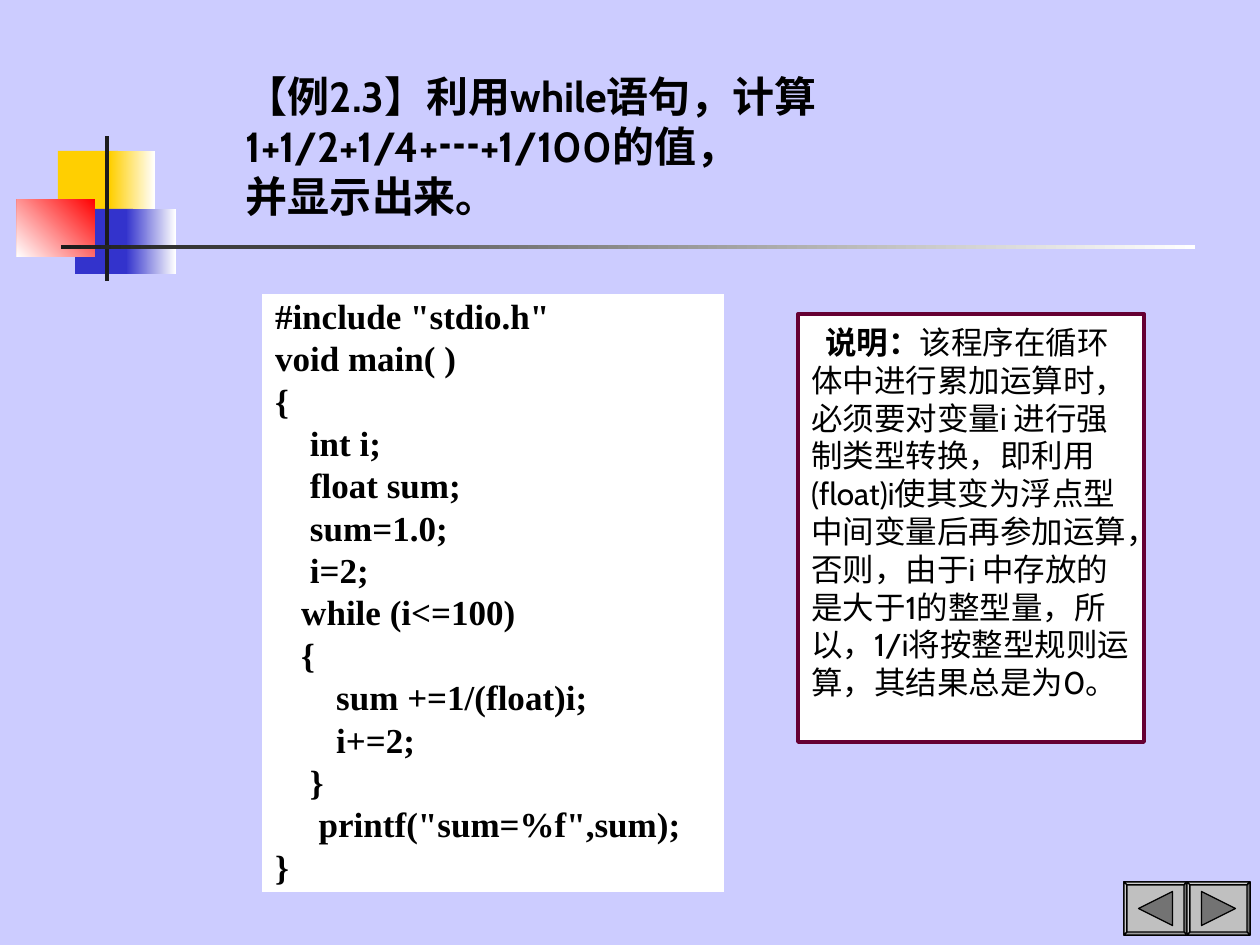
from itertools import groupby

from pptx import Presentation
from pptx.dml.color import RGBColor
from pptx.enum.shapes import MSO_SHAPE
from pptx.enum.text import MSO_ANCHOR, PP_ALIGN
from pptx.oxml.ns import qn
from pptx.util import Pt
from lxml.etree import SubElement

PX = 914400 / 126
HUES = {
    "back": "CCCCFF", "white": "FFFFFF", "black": "000000", "ink": "1C1C1C",
    "gold": "FFCF01", "blue": "3333CC", "red": "FF0000", "wine": "660033",
    "face": "C0C0C0", "light": "CCCCCC", "dim": "9A9A9A", "dark": "737373",
}
LATIN, HAN, SERIF = "Cabin", "Noto Sans CJK SC", "Times New Roman"

TITLE = "【例2.3】利用while语句，计算\n1+1/2+1/4+┅+1/100的值，\n并显示出来。"
CODE = """#include "stdio.h"
void main( )
{
    int i;
    float sum;
    sum=1.0;
    i=2;
   while (i<=100)
   {
       sum +=1/(float)i;
       i+=2;
    }
     printf("sum=%f",sum);
}"""
LABEL = "说明："
NOTE = ("该程序在循环体中进行累加运算时，必须要对变量i 进行强制类型转换，"
        "即利用(float)i使其变为浮点型中间变量后再参加运算，否则，由于i 中存放的是"
        "大于1的整型量，所以，1/i将按整型规则运算，其结果总是为0。")


def emu(px):
    return round(px * PX)


def hue(name):
    return RGBColor.from_string(HUES[name])


def paint(shape, fill, line=None, width=0.75):
    shape.shadow.inherit = False
    shape.fill.solid()
    shape.fill.fore_color.rgb = hue(fill)
    if line:
        shape.line.color.rgb = hue(line)
        shape.line.width = Pt(width)
    else:
        shape.line.fill.background()


def block(slide, box, fill, line=None, width=0.75):
    shape = slide.shapes.add_shape(MSO_SHAPE.RECTANGLE, *map(emu, box))
    paint(shape, fill, line, width)
    return shape


def fade(slide, box, start, end, angle):
    """Add a block whose colour runs from start to end."""
    fill = block(slide, box, start).fill
    fill.gradient()
    fill.gradient_angle = angle
    for stop, name, place in zip(fill.gradient_stops, (start, end), (0, 1)):
        stop.color.rgb = hue(name)
        stop.position = place


def frame(shape, top=6, bottom=6, anchor=MSO_ANCHOR.TOP):
    text = shape.text_frame
    text.word_wrap = True
    text.vertical_anchor = anchor
    text.margin_left = text.margin_right = emu(13)
    text.margin_top, text.margin_bottom = emu(top), emu(bottom)
    return text


def write(para, text, size=18, bold=False, latin=LATIN, pitch=None):
    """Add text, one run for each stretch of Latin or Chinese letters."""
    para.alignment = PP_ALIGN.LEFT
    if pitch:
        para.line_spacing = Pt(pitch)
    for row, line in enumerate(text.split("\n")):
        if row:
            para.add_line_break()
        for plain, part in groupby(line, str.isascii):
            run = para.add_run()
            run.text = "".join(part)
            font = run.font
            font.size, font.bold = Pt(size), bold
            font.color.rgb = hue("black")
            font.name = latin if plain else HAN
            SubElement(font._element, qn("a:ea")).set("typeface", HAN)


def emblem(slide, box):
    x, y, w, h = box
    block(slide, (x + 41, y + 15, 60, 65), "gold")
    fade(slide, (x + 93, y + 15, 45, 65), "white", "gold", 180)
    block(slide, (x + 58, y + 73, 58, 65), "blue")
    fade(slide, (x + 109, y + 73, 50, 65), "white", "blue", 180)
    fade(slide, (x, y + 63, 78, 58), "red", "white", 225)
    block(slide, (x + 88, y, 4, h), "ink")
    fade(slide, (x + 44, y + 109, w - 44, 4), "white", "ink", 180)


def heading(slide, box):
    shape = slide.shapes.add_textbox(*map(emu, box))
    text = frame(shape, bottom=3, anchor=MSO_ANCHOR.BOTTOM)
    write(text.paragraphs[0], TITLE, size=24, bold=True, pitch=28.6)


def listing(slide, box):
    text = frame(block(slide, box, "white"), top=0)
    for row, line in enumerate(CODE.split("\n")):
        para = text.add_paragraph() if row else text.paragraphs[0]
        write(para, line, size=20, bold=True, latin=SERIF, pitch=24.2)


def remark(slide, box):
    text = frame(block(slide, box, "white", "wine", 2.25), top=9)
    para = text.paragraphs[0]
    para._p.get_or_add_pPr().set("indent", str(emu(14)))
    write(para, LABEL, bold=True, pitch=21.6)
    write(para, NOTE)


def outline(slide, points, fill):
    start, *rest = [(emu(x), emu(y)) for x, y in points]
    build = slide.shapes.build_freeform(*start)
    build.add_line_segments(rest, close=True)
    paint(build.convert_to_shape(), fill, "black")


def button(slide, box, step):
    """Draw a bevelled button; step is 1 for forward, -1 for back."""
    x, y, w, h = box
    rim = 3
    block(slide, box, "face", "black")
    outer = [(x, y), (x + w, y), (x + w, y + h), (x, y + h)]
    inner = [(x + rim, y + rim), (x + w - rim, y + rim),
             (x + w - rim, y + h - rim), (x + rim, y + h - rim)]
    for i, fill in enumerate(("light", "dark", "dim", "light")):
        j = (i + 1) % 4
        outline(slide, [outer[i], outer[j], inner[j], inner[i]], fill)
    mid, cy = x + w / 2, y + h / 2
    base, tip = mid - step * 17, mid + step * 17
    outline(slide, [(base, cy - 17), (tip, cy), (base, cy + 17)], "dark")


def main():
    deck = Presentation()
    deck.slide_width, deck.slide_height = emu(1260), emu(945)
    slide = deck.slides.add_slide(deck.slide_layouts[6])
    slide.background.fill.solid()
    slide.background.fill.fore_color.rgb = hue("back")
    emblem(slide, (17, 136, 1178, 145))
    heading(slide, (233, 35, 774, 189))
    listing(slide, (262, 294, 462, 598))
    remark(slide, (798, 314, 346, 428))
    for i, step in enumerate((-1, 1)):
        button(slide, (1124 + 63 * i, 882, 63, 53), step)
    deck.save("out.pptx")


if __name__ == "__main__":
    main()
